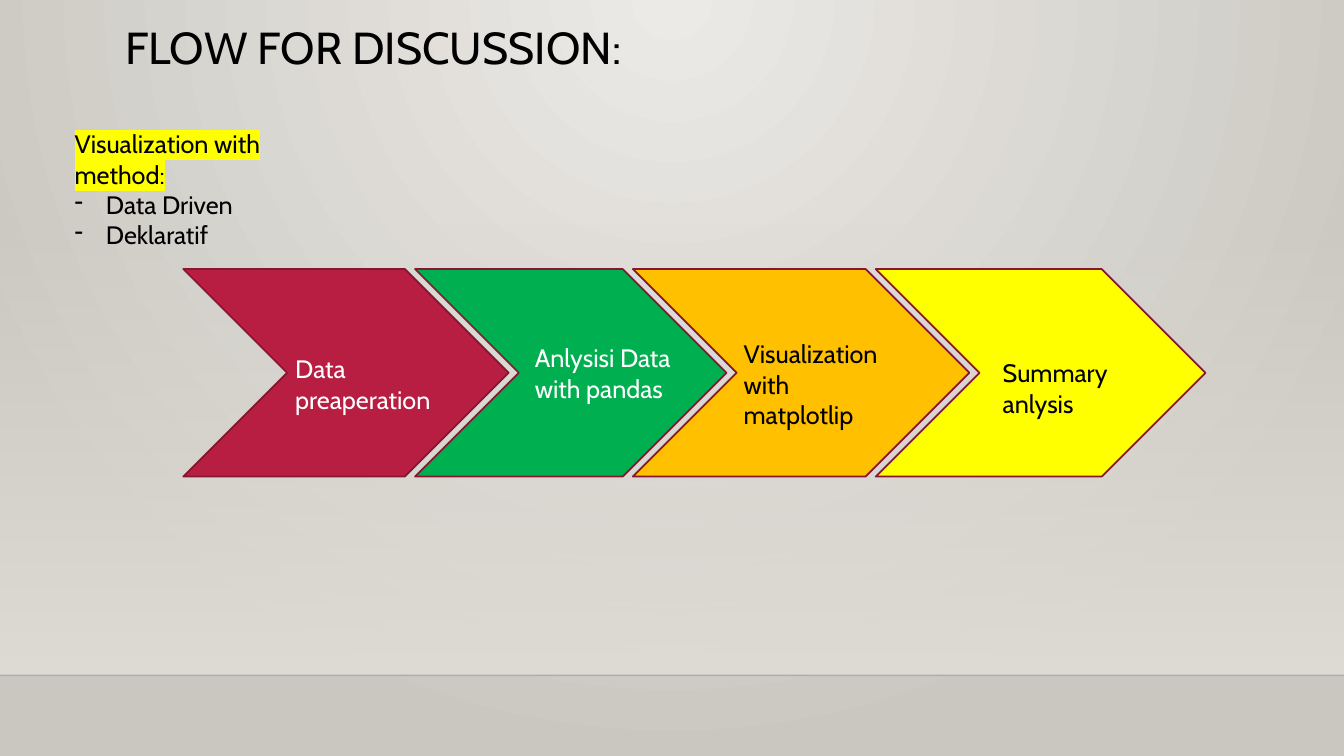
import pptx
import pptx.util
import pptx.dml.color
import pptx.enum.shapes
import pptx.enum.text
import pptx.oxml
import pptx.oxml.ns
from dataclasses import dataclass
from pptx.util import Cm

# Content
TITLE = "FLOW FOR DISCUSSION:"
METHOD_HEADING = "Visualization with method:"
METHODS = ["Data Driven", "Deklaratif"]
# Step: lines, fill, text colour, chevron width, label (left, top, width, height) in cm
STEPS = [
    (["Data preaperation"], "B71E42", "FFFFFF", 8.2, (7.19, 8.79, 5.23, 1.03)),
    (["Anlysisi Data", "with pandas"], "00B050", "FFFFFF", 7.85, (13.23, 8.51, 4.04, 1.8)),
    (["Visualization", "with matplotlip"], "FFC000", "000000", 8.48, (18.49, 8.41, 4.45, 1.8)),
    (["Summary anlysis"], "FFFF00", "000000", 8.31, (25.02, 8.89, 4.75, 1.03)),
]

# Layout in cm
SLIDE_WIDTH, SLIDE_HEIGHT = 33.87, 19.05
FLOOR_TOP, FLOOR_LINE = 5.61, 17.02
FLOW_LEFT, FLOW_TOP, FLOW_HEIGHT, FLOW_OVERLAP = 4.62, 6.78, 5.23, 2.36


@dataclass
class Theme:
    font: str = "Cabin"
    title_size: int = 32
    body_size: int = 18
    text: str = "000000"
    outline: str = "871631"
    highlight: str = "FFFF00"
    light: str = "ECEAE7"
    dark: str = "CAC7C1"
    wall: str = "DFDBD5"
    floor_line: str = "000001"


theme = Theme()


def rgb(value):
    return pptx.dml.color.RGBColor.from_string(value)


def add_xml(parent, tag, **attributes):
    child = pptx.oxml.parse_xml(f'<a:{tag} {pptx.oxml.ns.nsdecls("a")}/>')
    for name, value in attributes.items():
        child.set(name, str(value))
    parent.append(child)
    return child


def set_gradient(fill, *colors):
    fill.gradient()
    for position, (stop, color) in enumerate(zip(fill.gradient_stops, colors)):
        stop.position = position
        stop.color.rgb = rgb(color)


def find(element, tag):
    return next(element.iter(pptx.oxml.ns.qn(tag)))


def write(text_frame, lines, size, color):
    text_frame.text = "\n".join(lines)
    text_frame.word_wrap = True
    text_frame.vertical_anchor = pptx.enum.text.MSO_ANCHOR.TOP
    for paragraph in text_frame.paragraphs:
        paragraph.alignment = pptx.enum.text.PP_ALIGN.LEFT
        for run in paragraph.runs:
            run.font.name = theme.font
            run.font.size = pptx.util.Pt(size)
            run.font.color.rgb = rgb(color)


def add_label(slide, box, lines, color):
    label = slide.shapes.add_textbox(*map(Cm, box))
    write(label.text_frame, lines, theme.body_size, color)
    label.text_frame.auto_size = pptx.enum.text.MSO_AUTO_SIZE.SHAPE_TO_FIT_TEXT
    return label.text_frame.paragraphs


def add_backdrop(slide):
    # Glow from the top centre
    set_gradient(slide.background.fill, theme.light, theme.dark)
    gradient = find(slide.element, "a:gradFill")
    gradient.remove(find(gradient, "a:lin"))
    glow = add_xml(gradient, "path", path="circle")
    add_xml(glow, "fillToRect", l=43000, t=0, r=43000, b=100000)

    # Wall fading in downwards
    wall = slide.shapes.add_shape(
        pptx.enum.shapes.MSO_SHAPE.RECTANGLE,
        0, Cm(FLOOR_TOP), Cm(SLIDE_WIDTH), Cm(FLOOR_LINE - FLOOR_TOP))
    wall.shadow.inherit = False
    wall.line.fill.background()
    set_gradient(wall.fill, theme.wall, theme.wall)
    wall.fill.gradient_angle = 270
    add_xml(find(wall.element, "a:srgbClr"), "alpha", val=0)

    # Edge of the floor
    edge = slide.shapes.add_connector(
        pptx.enum.shapes.MSO_CONNECTOR.STRAIGHT,
        0, Cm(FLOOR_LINE), Cm(SLIDE_WIDTH), Cm(FLOOR_LINE))
    edge.line.width = pptx.util.Pt(1)
    edge.line.color.rgb = rgb(theme.floor_line)
    add_xml(find(edge.element, "a:srgbClr"), "alpha", val=20000)
    add_xml(find(edge.element, "p:spPr"), "effectLst")


def add_title(slide):
    title = slide.shapes.title
    title.left, title.top, title.width, title.height = map(Cm, (2.9, 0.53, 26.67, 1.63))
    write(title.text_frame, [TITLE], theme.title_size, theme.text)
    title.text_frame.auto_size = pptx.enum.text.MSO_AUTO_SIZE.NONE
    title.text_frame.paragraphs[0].line_spacing = 0.9


def add_flow(slide):
    left = FLOW_LEFT
    for lines, fill, color, width, box in STEPS:
        chevron = slide.shapes.add_shape(
            pptx.enum.shapes.MSO_SHAPE.CHEVRON,
            Cm(left), Cm(FLOW_TOP), Cm(width), Cm(FLOW_HEIGHT))
        chevron.shadow.inherit = False
        chevron.fill.solid()
        chevron.fill.fore_color.rgb = rgb(fill)
        chevron.line.color.rgb = rgb(theme.outline)
        chevron.line.width = pptx.util.Pt(1.25)
        add_label(slide, box, lines, color)
        left += width - FLOW_OVERLAP


def add_methods(slide):
    heading, *items = add_label(
        slide, (1.63, 3.12, 7.39, 2.57), [METHOD_HEADING, *METHODS], theme.text)
    properties = heading.runs[0].font.color and find(heading.runs[0]._r, "a:rPr")
    highlight = add_xml(properties, "highlight")
    add_xml(highlight, "srgbClr", val=theme.highlight)
    find(properties, "a:solidFill").addnext(highlight)
    for item in items:
        properties = item._p.get_or_add_pPr()
        properties.set("marL", str(Cm(0.79)))
        properties.set("indent", str(-Cm(0.79)))
        add_xml(properties, "buChar", char="-")


def main():
    presentation = pptx.Presentation()
    presentation.slide_width = Cm(SLIDE_WIDTH)
    presentation.slide_height = Cm(SLIDE_HEIGHT)
    slide = presentation.slides.add_slide(presentation.slide_layouts[5])
    add_backdrop(slide)
    add_title(slide)
    add_flow(slide)
    add_methods(slide)
    presentation.save("out.pptx")


if __name__ == "__main__":
    main()
